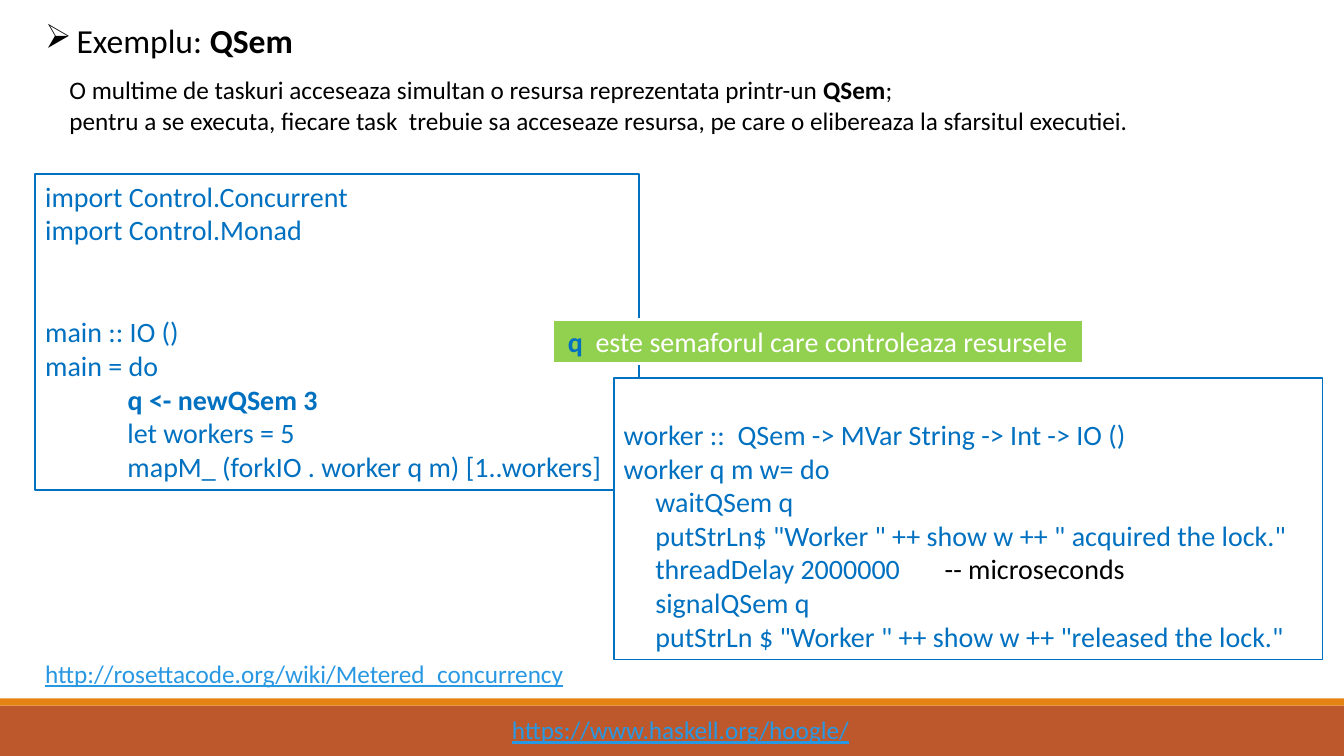
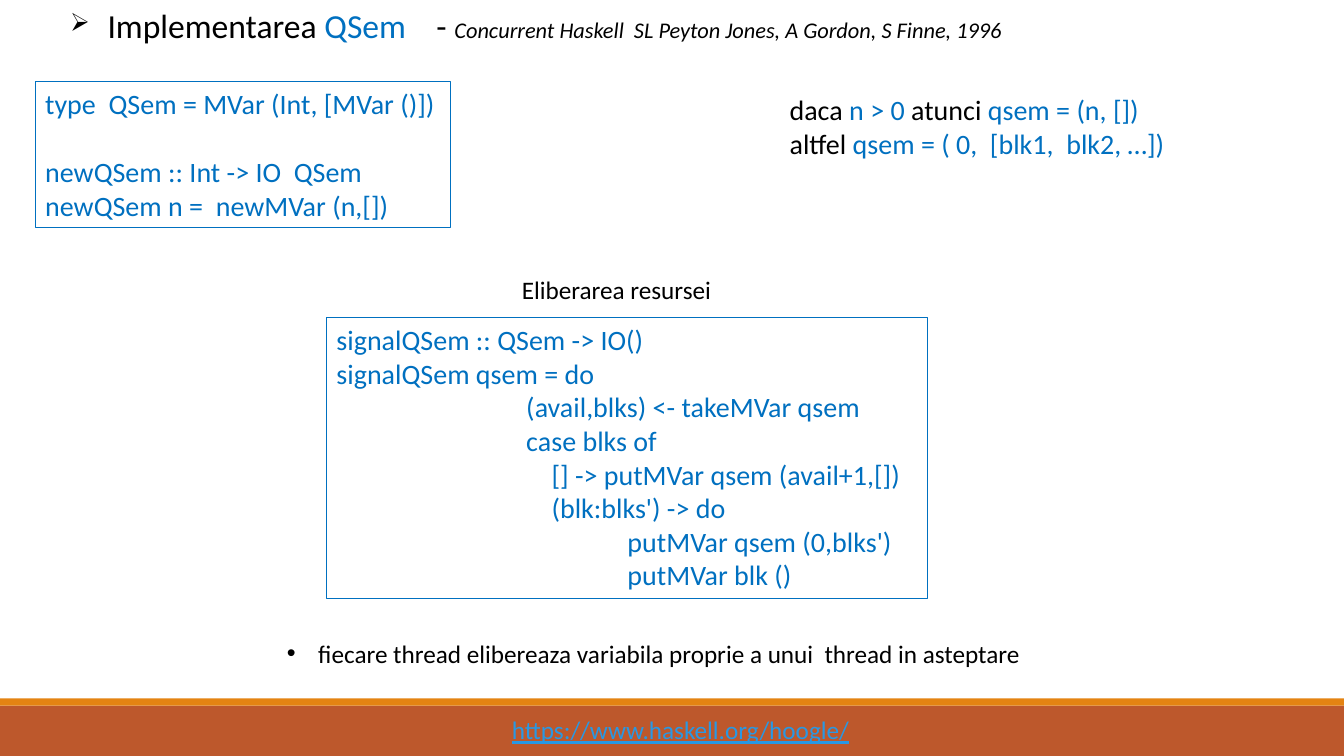
import pptx
import pptx.dml.color
import pptx.enum.shapes
import pptx.enum.text
import pptx.oxml.ns
import pptx.util
from lxml import etree

Cm = pptx.util.Cm
Pt = pptx.util.Pt
BLUE, BLACK, WHITE = "0070C0", "000000", "FFFFFF"
LINK, GREEN, RUST, ORANGE = "2998E3", "92D050", "BD582C", "E48312"
PAGE_WIDTH, PAGE_HEIGHT = 33.87, 19.05
BAND_TOP, STRIP_HEIGHT = 17.78, 0.18
CODE_LINE = 24.4

BASE = {"name": "Calibri", "size": 18, "color": BLACK, "bold": False, "italic": False, "underline": False}
TITLE = {"size": 24}
CODE = {"size": 20, "color": BLUE}
URL = {"color": LINK, "underline": True}
BOLD = {"bold": True}
ON_BLUE, ON_BLACK = {"color": BLUE}, {"color": BLACK}


def rgb(value):
    """Turn a hex string into a colour."""
    return pptx.dml.color.RGBColor.from_string(value)


def place(shape, box):
    """Set left, top, width and height from a box in centimetres."""
    for name, value in zip(("left", "top", "width", "height"), box):
        setattr(shape, name, Cm(value))


def style_span(span, style):
    """Apply a text style to one run."""
    for name, value in {**BASE, **style}.items():
        if name == "color":
            span.font.color.rgb = rgb(value)
        else:
            setattr(span.font, name, Pt(value) if name == "size" else value)


def set_bullet(para, char, hang, percent=100, tab=None):
    """Give a paragraph a hanging bullet and an optional tab stop."""
    props = para._p.get_or_add_pPr()
    props.set("marL", str(Cm(hang)))
    props.set("indent", str(-Cm(hang)))
    qn = pptx.oxml.ns.qn
    etree.SubElement(props, qn("a:buSzPct"), val=str(percent * 1000))
    etree.SubElement(props, qn("a:buChar"), char=char)
    if tab:
        stops = etree.SubElement(props, qn("a:tabLst"))
        etree.SubElement(stops, qn("a:tab"), pos=str(Cm(tab)), algn="l")


def clear_bullet(para):
    """Remove the inherited bullet and indent."""
    props = para._p.get_or_add_pPr()
    props.set("marL", "0")
    props.set("indent", "0")
    etree.SubElement(props, pptx.oxml.ns.qn("a:buNone"))


def write(shape, lines, style, bullet=None, gaps=None, wrap=True, insets=None):
    """Fill a shape with lines, each a string or a list of (text, style) spans."""
    frame = shape.text_frame
    settings = {
        "word_wrap": wrap,
        "auto_size": pptx.enum.text.MSO_AUTO_SIZE.NONE,
        "vertical_anchor": pptx.enum.text.MSO_ANCHOR.TOP,
        "margin_left": Cm(0.25),
        "margin_right": Cm(0.25),
        "margin_top": Cm(0.13),
        "margin_bottom": Cm(0.13),
        **(insets or {}),
    }
    for name, value in settings.items():
        setattr(frame, name, value)
    for index, line in enumerate(lines):
        para = frame.paragraphs[0] if index == 0 else frame.add_paragraph()
        if bullet:
            set_bullet(para, **bullet)
        else:
            clear_bullet(para)
        para.alignment = pptx.enum.text.PP_ALIGN.LEFT
        para.line_spacing = 1.0
        para.space_before = Pt((gaps or {}).get(index, 0))
        for text, extra in [(line, {})] if isinstance(line, str) else line:
            span = para.add_run()
            span.text = text
            style_span(span, {**style, **extra})


def add_box(page, box, fill=None, line=None, weight=1.25):
    """Add a flat rectangle."""
    shape = page.shapes.add_shape(pptx.enum.shapes.MSO_SHAPE.RECTANGLE, *map(Cm, box))
    shape.shadow.inherit = False
    if fill:
        shape.fill.solid()
        shape.fill.fore_color.rgb = rgb(fill)
    else:
        shape.fill.background()
    if line:
        shape.line.color.rgb = rgb(line)
        shape.line.width = Pt(weight)
    else:
        shape.line.fill.background()
    return shape


def add_text(page, box, lines, style, **options):
    """Add a text box."""
    write(page.shapes.add_textbox(*map(Cm, box)), lines, style, **options)


def add_code(page, box, lines, weight, fill=None, **options):
    """Add a framed code listing."""
    write(add_box(page, box, fill, BLUE, weight), lines, CODE, **options)


def add_footer(page):
    """Draw the footer bands and their address."""
    add_box(page, (0, BAND_TOP, PAGE_WIDTH, PAGE_HEIGHT - BAND_TOP), RUST)
    add_box(page, (0, BAND_TOP - STRIP_HEIGHT, PAGE_WIDTH, STRIP_HEIGHT), ORANGE)
    add_text(page, (12.65, BAND_TOP + 0.1, 9.12, 1.02), ["https://www.haskell.org/hoogle/"], URL, wrap=False)


def add_page(deck, title_box, title, title_bullet, body_box, body, body_bullet=None):
    """Add a page with its footer, title and body."""
    page = deck.slides.add_slide(deck.slide_layouts[1])
    add_footer(page)
    title_shape, body_shape = page.placeholders
    place(title_shape, title_box)
    write(title_shape, [title], TITLE, bullet=title_bullet, wrap=False)
    place(body_shape, body_box)
    write(body_shape, body, {}, bullet=body_bullet)
    return page


def add_example_page(deck):
    """Build the page with the semaphore example."""
    page = add_page(
        deck,
        (0.89, 0.38, 6.78, 1.27),
        [("Exemplu: ", {}), ("QSem", BOLD)],
        {"char": "➢", "hang": 0.79},
        (1.5, 1.75, 27.38, 1.8),
        [
            [
                ("O multime de taskuri acceseaza simultan o resursa reprezentata printr-un ", {}),
                ("QSem", BOLD),
                (";", {}),
            ],
            "pentru a se executa, fiecare task  trebuie sa acceseaze resursa, "
            "pe care o elibereaza la sfarsitul executiei.",
        ],
    )
    main_code = [
        "import Control.Concurrent",
        "import Control.Monad",
        "main :: IO ()",
        "main = do",
        [("             ", {}), ("q <- newQSem 3", BOLD)],
        "             let workers = 5",
        "             mapM_ (forkIO . worker q m) [1..workers]",
    ]
    add_code(page, (0.89, 4.39, 15.21, 7.95), main_code, 1.25, WHITE, gaps={2: 2 * CODE_LINE})
    add_text(page, (0.89, 16.46, 13.74, 1.02), ["http://rosettacode.org/wiki/Metered_concurrency"], URL, wrap=False)
    worker_code = [
        "worker ::  QSem -> MVar String -> Int -> IO ()",
        "worker q m w= do",
        "     waitQSem q",
        '     putStrLn$ "Worker " ++ show w ++ " acquired the lock."',
        [("     threadDelay 2000000       ", {}), ("-- microseconds", ON_BLACK)],
        "     signalQSem q",
        '     putStrLn $ "Worker " ++ show w ++ "released the lock."',
    ]
    add_code(page, (15.47, 9.53, 17.86, 7.09), worker_code, 1.25, WHITE, insets={"margin_top": Cm(0.99)})
    label = add_box(page, (13.92, 8.05, 13.39, 1.12), GREEN, WHITE, 2)
    label_line = [("q  ", {**BOLD, **ON_BLUE}), ("este semaforul care controleaza resursele", {})]
    write(label, [label_line], {"size": 20, "color": WHITE}, wrap=False, insets={"margin_left": Cm(0.39)})


def add_implementation_page(deck):
    """Build the page with the semaphore implementation."""
    page = add_page(
        deck,
        (1.52, 0, 24.26, 2.06),
        [
            ("Implementarea ", {}),
            ("QSem", ON_BLUE),
            ("\t- ", {}),
            ("Concurrent Haskell  SL Peyton Jones, A Gordon, S Finne, 1996", {"size": 16, "italic": True}),
        ],
        {"char": "➢", "hang": 0.94, "percent": 75, "tab": 9.23},
        (6.98, 15.95, 19.1, 1.8),
        ["fiecare thread elibereaza variabila proprie a unui  thread in asteptare"],
        {"char": "•", "hang": 0.79},
    )
    signal_code = [
        "signalQSem :: QSem -> IO()",
        "signalQSem qsem = do",
        "                              (avail,blks) <- takeMVar qsem",
        "                              case blks of",
        "                                  [] -> putMVar qsem (avail+1,[])",
        "                                  (blk:blks') -> do",
        "                                              putMVar qsem (0,blks')",
        "                                              putMVar blk ()",
    ]
    add_code(page, (8.23, 8, 15.14, 7.09), signal_code, 0.75)
    type_code = [
        "type  QSem = MVar (Int, [MVar ()])",
        "newQSem :: Int -> IO  QSem",
        "newQSem n =  newMVar (n,[])",
    ]
    add_code(page, (0.89, 2.06, 10.46, 3.68), type_code, 0.75, gaps={1: CODE_LINE})
    states = [
        [("daca ", ON_BLACK), ("n > 0 ", {}), ("atunci ", ON_BLACK), ("qsem = (n, [])", {})],
        [("altfel ", ON_BLACK), ("qsem = ( 0,  [blk1,  blk2, …])", {})],
    ]
    add_text(page, (18.9, 2.21, 12.6, 3.5), states, CODE, insets={"margin_left": Cm(1)})
    add_text(page, (12.9, 6.78, 5.33, 1.02), ["Eliberarea resursei"], {}, wrap=False)


def main():
    """Build and save the deck."""
    deck = pptx.Presentation()
    deck.slide_width, deck.slide_height = Cm(PAGE_WIDTH), Cm(PAGE_HEIGHT)
    add_example_page(deck)
    add_implementation_page(deck)
    deck.save("out.pptx")


if __name__ == "__main__":
    main()
